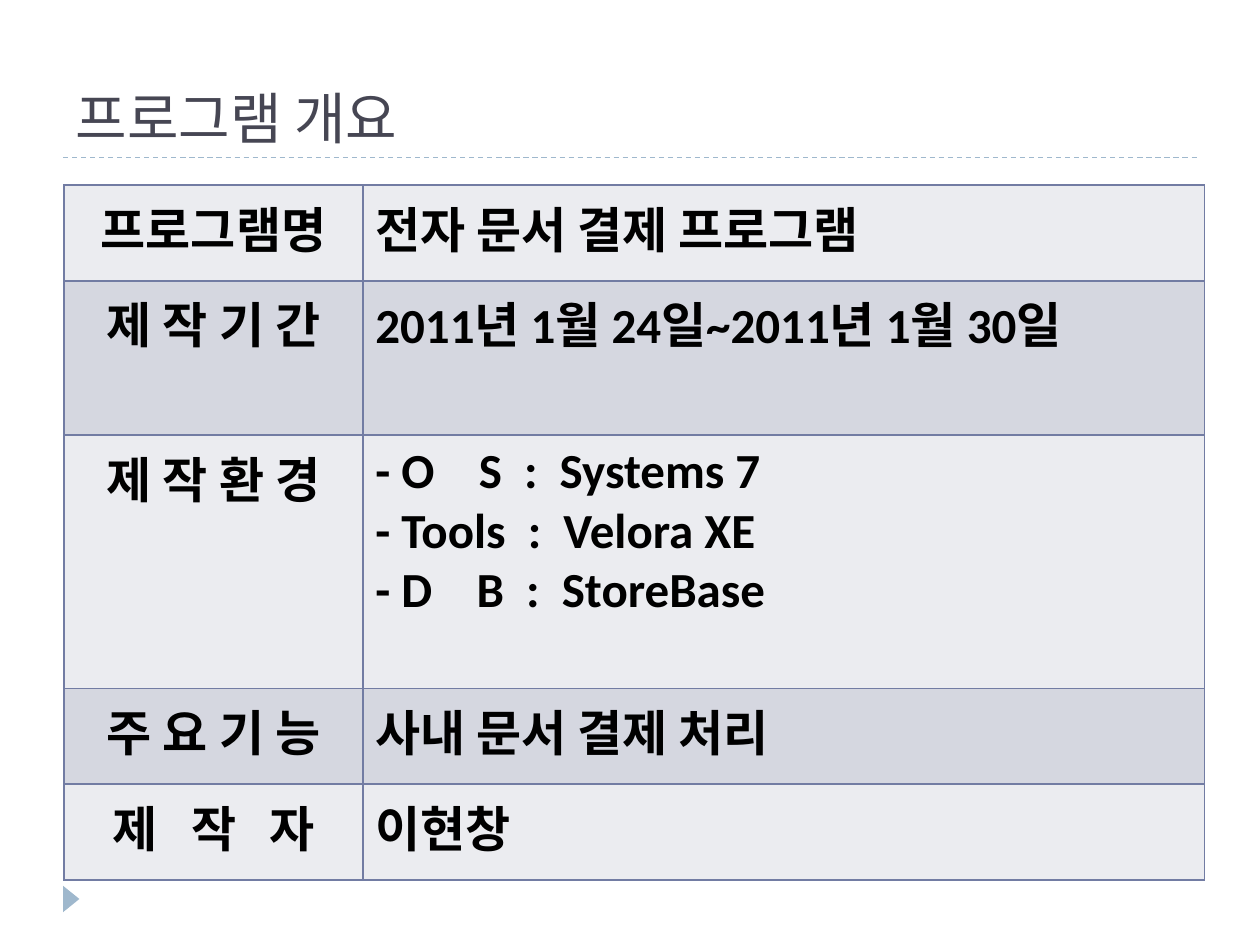
import pptx
import pptx.util
import pptx.dml.color
import pptx.enum.dml
import pptx.enum.shapes
import pptx.enum.text
import pptx.oxml
import pptx.oxml.ns

Inches = pptx.util.Inches
Pt = pptx.util.Pt
ALIGN = pptx.enum.text.PP_ALIGN

TITLE = "프로그램 개요"
ROWS = [
    ("프로그램명", ["전자 문서 결제 프로그램"], 0.76),
    ("제 작 기 간", ["2011년 1월 24일~2011년 1월 30일"], 0.76),
    ("제 작 환 경", ["- O    S  :  Systems 7", "- Tools  :  Velora XE", "- D    B  :  StoreBase"], 2.01),
    ("주 요 기 능", ["사내 문서 결제 처리"], 0.76),
    ("제   작   자", ["이현창"], 0.76),
]
COLUMN_WIDTHS = (2.37, 6.68)
RULE_HEIGHTS = (6.95, 1.25)
COLORS = {
    "accent": "9FB8CD",
    "title": "464653",
    "text": "000000",
    "border": "727CA3",
    "odd": "EBECF0",
    "even": "D5D7E0",
}


def color(name):
    return pptx.dml.color.RGBColor.from_string(COLORS[name])


def style_font(paragraph, face, size, color_name, bold=False):
    font = paragraph.font
    font.name, font.size, font.bold = face, Pt(size), bold
    font.color.rgb = color(color_name)


def add_rule(page, top):
    rule = page.shapes.add_connector(
        pptx.enum.shapes.MSO_CONNECTOR.STRAIGHT, Inches(0.5), Inches(top), Inches(9.5), Inches(top))
    rule.line.color.rgb = color("accent")
    rule.line.width = Pt(0.75)
    rule.line.dash_style = pptx.enum.dml.MSO_LINE.DASH
    rule._element.spPr.append(pptx.oxml.parse_xml(
        f'<a:effectLst {pptx.oxml.ns.nsdecls("a")}/>'))


def add_borders(cell):
    properties = cell._tc.get_or_add_tcPr()
    for index, side in enumerate(("lnL", "lnR", "lnT", "lnB")):
        properties.insert(index, pptx.oxml.parse_xml(
            f'<a:{side} {pptx.oxml.ns.nsdecls("a")} w="{Pt(1)}"><a:solidFill>'
            f'<a:srgbClr val="{COLORS["border"]}"/></a:solidFill></a:{side}>'))


def fill_cell(cell, lines, fill, alignment):
    cell.fill.solid()
    cell.fill.fore_color.rgb = color(fill)
    add_borders(cell)
    cell.text = "\n".join(lines)
    for paragraph in cell.text_frame.paragraphs:
        paragraph.alignment = alignment
        style_font(paragraph, "Calibri", 28, "text", True)


deck = pptx.Presentation()
deck.slide_width, deck.slide_height = Inches(10), Inches(7.5)
page = deck.slides.add_slide(deck.slide_layouts[5])

for top in RULE_HEIGHTS:
    add_rule(page, top)

marker = page.shapes.add_shape(
    pptx.enum.shapes.MSO_SHAPE.ISOSCELES_TRIANGLE,
    Inches(0.46), Inches(7.07), Inches(0.21), Inches(0.13))
marker.rotation = 90
marker.shadow.inherit = False
marker.fill.solid()
marker.fill.fore_color.rgb = color("accent")
marker.line.fill.background()

title = page.shapes.title
title.left, title.top, title.width, title.height = map(Inches, (0.5, 0.17, 9, 1.08))
title.text = TITLE
title.text_frame.vertical_anchor = pptx.enum.text.MSO_ANCHOR.BOTTOM
heading = title.text_frame.paragraphs[0]
heading.alignment = ALIGN.LEFT
style_font(heading, "TeX Gyre Bonum", 32, "title")

table = page.shapes.add_table(
    len(ROWS), len(COLUMN_WIDTHS), Inches(0.51), Inches(1.47),
    Inches(sum(COLUMN_WIDTHS)), Inches(sum(row[2] for row in ROWS))).table
for column, width in zip(table.columns, COLUMN_WIDTHS):
    column.width = Inches(width)
for index, (label, lines, height) in enumerate(ROWS):
    table.rows[index].height = Inches(height)
    fill = "even" if index % 2 else "odd"
    fill_cell(table.cell(index, 0), [label], fill, ALIGN.CENTER)
    fill_cell(table.cell(index, 1), lines, fill, ALIGN.LEFT)

deck.save("out.pptx")
